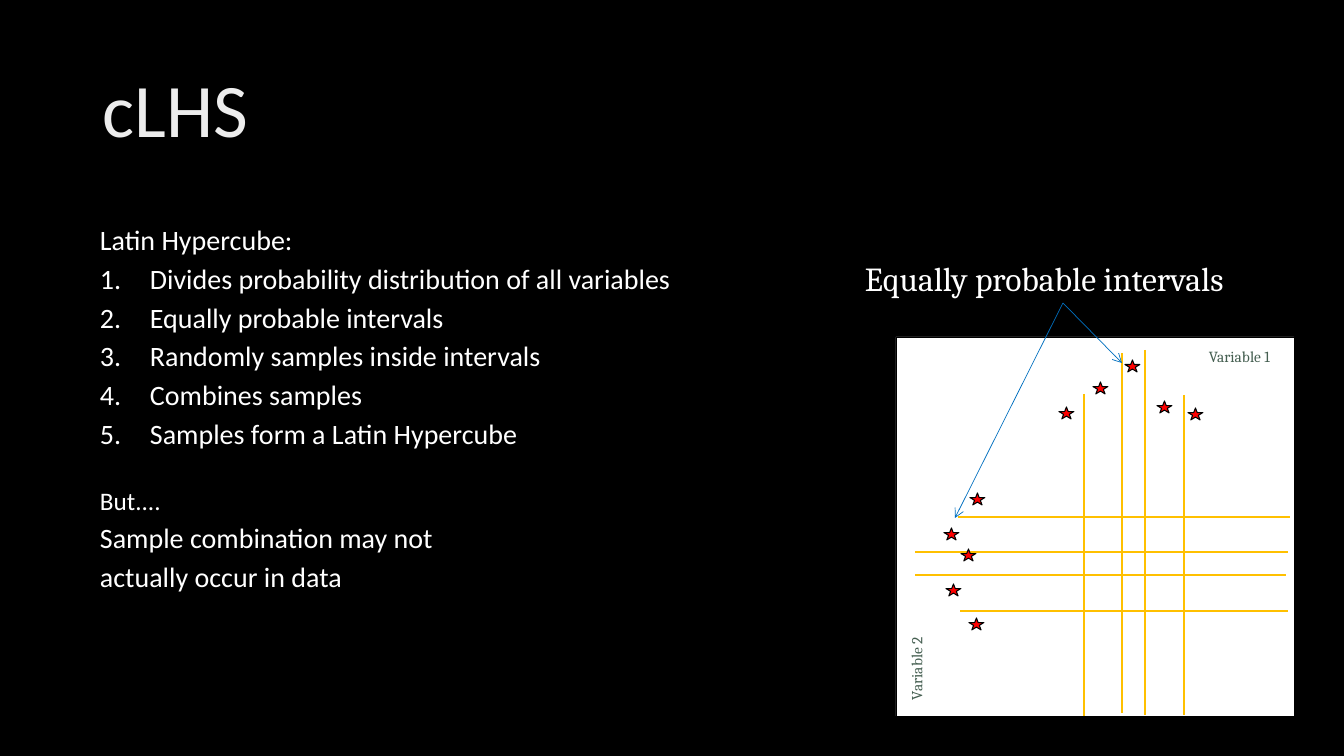
from lxml import etree
from pptx import Presentation
from pptx.dml.color import RGBColor
from pptx.enum.shapes import MSO_CONNECTOR, MSO_SHAPE
from pptx.enum.text import MSO_ANCHOR
from pptx.oxml.ns import qn
from pptx.util import Pt

SLIDE_W, SLIDE_H = 1344, 756
EMU_PER_PX = 12192000 / SLIDE_W

BLACK = RGBColor(0x00, 0x00, 0x00)
WHITE = RGBColor(0xFF, 0xFF, 0xFF)
RED = RGBColor(0xFF, 0x00, 0x00)
AMBER = RGBColor(0xFF, 0xC0, 0x00)
BLUE = RGBColor(0x00, 0x70, 0xC0)
SLATE = RGBColor(0x45, 0x5F, 0x51)
TITLE_STOPS = [(0, RGBColor(0xBF, 0xBF, 0xBF)),
               (28, RGBColor(0xED, 0xED, 0xED)),
               (100, WHITE)]

STRAIGHT = MSO_CONNECTOR.STRAIGHT
RECTANGLE, STAR = MSO_SHAPE.RECTANGLE, MSO_SHAPE.STAR_5_POINT
TOP, MIDDLE = MSO_ANCHOR.TOP, MSO_ANCHOR.MIDDLE
BOTTOM_SIDE = 2

STEPS = ["Divides probability distribution of all variables",
         "Equally probable intervals",
         "Randomly samples inside intervals",
         "Combines samples",
         "Samples form a Latin Hypercube"]
# Text, size, space before, numbered
BODY = [("Latin Hypercube:", 20, 0, False),
        *[(step, 20, 3.6, True) for step in STEPS],
        ("But....", 18, 25.6, False),
        ("Sample combination may not", 20, 3.6, False),
        ("actually occur in data", 20, 3.6, False)]

# Interval borders: x, top, bottom and y, left, right
VARIABLE_1_BORDERS = [(1084, 394, 716), (1122, 353, 713),
                      (1145, 350, 715), (1184, 395, 715)]
VARIABLE_2_BORDERS = [(517, 958, 1290), (552, 915, 1288),
                      (575, 915, 1286), (611, 960, 1288)]
STAR_SIZE = (15, 12)
SAMPLES = [(1059, 407), (1093, 382), (1125, 360), (1157, 401), (1188, 408),
           (970, 493), (944, 528), (961, 549), (946, 584), (969, 618)]
ARROW_TIPS = [(1122, 363), (955, 518)]


def px(*lengths):
    return [round(length * EMU_PER_PX) for length in lengths]


def style_font(font, size, name, color):
    for key, value in {"size": Pt(size), "name": name}.items():
        setattr(font, key, value)
    font.color.rgb = color


def add_text(slide, box, text="", size=20, name="Calibri", color=WHITE,
             anchor=TOP, rotation=0):
    label = slide.shapes.add_textbox(*px(*box))
    label.rotation = rotation
    frame = label.text_frame
    for key, value in {"word_wrap": True, "vertical_anchor": anchor}.items():
        setattr(frame, key, value)
    if text:
        run = frame.paragraphs[0].add_run()
        run.text = text
        style_font(run.font, size, name, color)
    return label


def add_shape(slide, kind, box, fill, line_width):
    shape = slide.shapes.add_shape(kind, *px(*box))
    shape.shadow.inherit = False
    shape.fill.solid()
    shape.fill.fore_color.rgb = fill
    shape.line.color.rgb = BLACK
    shape.line.width = Pt(line_width)


def add_line(slide, start, end, color, width):
    line = slide.shapes.add_connector(STRAIGHT, *px(*start, *end))
    line.line.color.rgb = color
    line.line.width = Pt(width)
    etree.SubElement(line._element.spPr, qn("a:effectLst"))
    return line


def add_arrow(slide, source, start, tip):
    arrow = add_line(slide, start, tip, BLUE, 0.5)
    arrow.begin_connect(source, BOTTOM_SIDE)
    etree.SubElement(arrow.line._get_or_add_ln(), qn("a:tailEnd"), type="arrow")


def add_title(slide):
    title = add_text(slide, (93, 40, 1159, 146), "cLHS", 54, anchor=MIDDLE)
    paragraph = title.text_frame.paragraphs[0]
    paragraph.line_spacing = 0.9
    # Gradient with three stops
    solid = paragraph.runs[0].font._element.find(qn("a:solidFill"))
    gradient = etree.Element(qn("a:gradFill"))
    stops = etree.SubElement(gradient, qn("a:gsLst"))
    for percent, color in TITLE_STOPS:
        stop = etree.SubElement(stops, qn("a:gs"), pos=str(percent * 1000))
        etree.SubElement(stop, qn("a:srgbClr"), val=str(color))
    etree.SubElement(gradient, qn("a:lin"), ang=str(80 * 60000), scaled="0")
    solid.getparent().replace(solid, gradient)


def add_body(slide):
    frame = add_text(slide, (90, 218, 787, 454)).text_frame
    for index, (text, size, space, numbered) in enumerate(BODY):
        paragraph = frame.paragraphs[0] if index == 0 else frame.add_paragraph()
        paragraph.space_before = Pt(space)
        if numbered:
            properties = paragraph._p.get_or_add_pPr()
            indent = px(50)[0]
            properties.set("marL", str(indent))
            properties.set("indent", str(-indent))
            etree.SubElement(properties, qn("a:buFont"), typeface="+mj-lt")
            etree.SubElement(properties, qn("a:buAutoNum"), type="arabicPeriod")
        run = paragraph.add_run()
        run.text = text
        style_font(run.font, size, "Calibri", WHITE)


def add_diagram(slide):
    add_shape(slide, RECTANGLE, (896, 337, 398, 379), WHITE, 0.25)
    for y, left, right in VARIABLE_2_BORDERS:
        add_line(slide, (right, y), (left, y), AMBER, 1.25)
    for x, top, bottom in VARIABLE_1_BORDERS:
        add_line(slide, (x, top), (x, bottom), AMBER, 1.25)
    for corner in SAMPLES:
        add_shape(slide, STAR, (*corner, *STAR_SIZE), RED, 0.75)
    add_text(slide, (1199, 342, 91, 29), "Variable 1", 11, "Cambria", SLATE)
    add_text(slide, (871, 650, 91, 29), "Variable 2", 11, "Cambria", SLATE,
             rotation=270)


def add_callout(slide):
    caption = add_text(slide, (855, 253, 416, 50),
                       "Equally probable intervals", 24, "Cambria")
    for tip in ARROW_TIPS:
        add_arrow(slide, caption, (1063, 303), tip)


def main():
    deck = Presentation()
    deck.slide_width, deck.slide_height = px(SLIDE_W, SLIDE_H)
    slide = deck.slides.add_slide(deck.slide_layouts[6])
    slide.background.fill.solid()
    slide.background.fill.fore_color.rgb = BLACK
    add_title(slide)
    add_body(slide)
    add_diagram(slide)
    add_callout(slide)
    deck.save("out.pptx")


if __name__ == "__main__":
    main()
